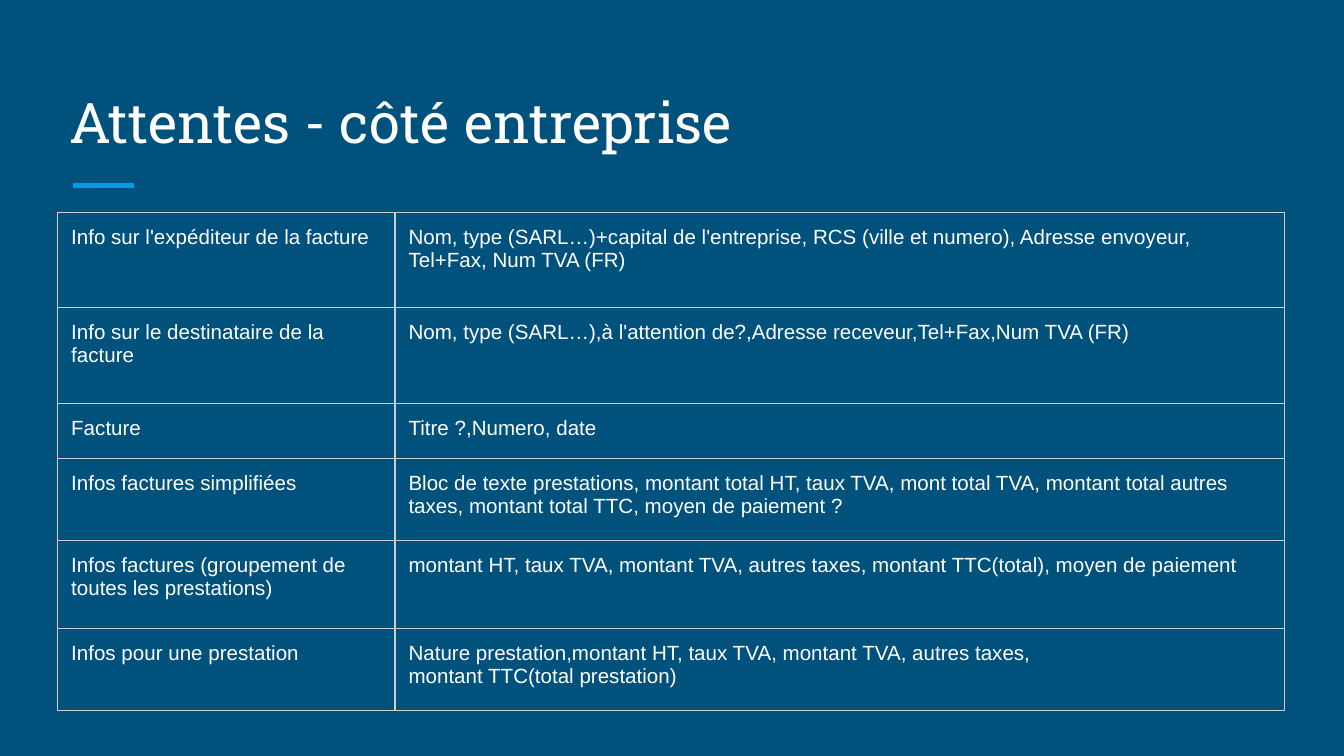
"""Build a slide with a table of what a company expects on its invoices."""
import pptx
import pptx.dml.color
import pptx.enum.shapes
import pptx.enum.text
import pptx.oxml
import pptx.oxml.ns
import pptx.util

Inches = pptx.util.Inches
Pt = pptx.util.Pt


def tint(code):
    return pptx.dml.color.RGBColor.from_string(code)


def style(frame, form):
    for para in frame.paragraphs:
        for run in para.runs:
            run.font.color.rgb = tint("FFFFFF")
            for key, value in form.items():
                setattr(run.font, key, value)


deck = pptx.Presentation()
deck.slide_width = Inches(10)
deck.slide_height = Inches(10 * 9 / 16)
slide = deck.slides.add_slide(deck.slide_layouts[5])
slide.background.fill.solid()
slide.background.fill.fore_color.rgb = tint("00517C")

pads = {"margin_" + side: Inches(0.1) for side in ("left", "right", "top", "bottom")}

title = slide.shapes.title
place = {"left": 0.42, "top": 0.5, "width": 9.15, "height": 0.75}
for key, value in place.items():
    setattr(title, key, Inches(value))
frame = title.text_frame
frame.text = "Attentes - côté entreprise"
anchor = pptx.enum.text.MSO_ANCHOR
fit = pptx.enum.text.MSO_AUTO_SIZE.NONE
for key, value in {**pads, "vertical_anchor": anchor.BOTTOM, "auto_size": fit}.items():
    setattr(frame, key, value)
frame.paragraphs[0].alignment = pptx.enum.text.PP_ALIGN.LEFT
style(frame, {"name": "Roboto Slab", "size": Pt(30)})

rule = slide.shapes.add_connector(
    pptx.enum.shapes.MSO_CONNECTOR.STRAIGHT,
    Inches(0.54), Inches(1.38), Inches(1), Inches(1.38))
rule.line.color.rgb = tint("039BE5")
rule.line.width = Pt(3)
props = rule._element.spPr
props.append(props.makeelement(pptx.oxml.ns.qn("a:effectLst"), {}))

rows = [
    (0.71, "Info sur l'expéditeur de la facture",
     "Nom, type (SARL…)+capital de l'entreprise, RCS (ville et numero), "
     "Adresse envoyeur, Tel+Fax, Num TVA (FR)"),
    (0.71, "Info sur le destinataire de la facture",
     "Nom, type (SARL…),à l'attention de?,Adresse receveur,Tel+Fax,Num TVA (FR)"),
    (0.41, "Facture", "Titre ?,Numero, date"),
    (0.61, "Infos factures simplifiées",
     "Bloc de texte prestations, montant total HT, taux TVA, mont total TVA, "
     "montant total autres taxes, montant total TTC, moyen de paiement ?"),
    (0.66, "Infos factures (groupement de toutes les prestations)",
     "montant HT, taux TVA, montant TVA, autres taxes, montant TTC(total), "
     "moyen de paiement"),
    (0.61, "Infos pour une prestation",
     "Nature prestation,montant HT, taux TVA, montant TVA, autres taxes,\v"
     "montant TTC(total prestation)"),
]
widths = [2.51, 6.62]
high = sum(row[0] for row in rows)
table = slide.shapes.add_table(
    len(rows), len(widths), Inches(0.43), Inches(1.58),
    Inches(sum(widths)), Inches(high)).table
for key in ("first_row", "horz_banding"):
    setattr(table, key, False)
for col, width in zip(table.columns, widths):
    col.width = Inches(width)

edge = (
    '<a:{} xmlns:a="http://schemas.openxmlformats.org/drawingml/2006/main" w="9525">'
    '<a:solidFill><a:srgbClr val="CCCCCC"/></a:solidFill></a:{}>')
for line, (height, *texts) in zip(table.rows, rows):
    line.height = Inches(height)
    for cell, text in zip(line.cells, texts):
        cell.text = text
        for key, value in {**pads, "vertical_anchor": anchor.TOP}.items():
            setattr(cell, key, value)
        style(cell.text_frame, {"name": "Arial", "size": Pt(11)})
        cell.fill.background()
        props = cell._tc.get_or_add_tcPr()
        for spot, tag in enumerate(("lnL", "lnR", "lnT", "lnB")):
            props.insert(spot, pptx.oxml.parse_xml(edge.format(tag, tag)))

deck.save("out.pptx")
